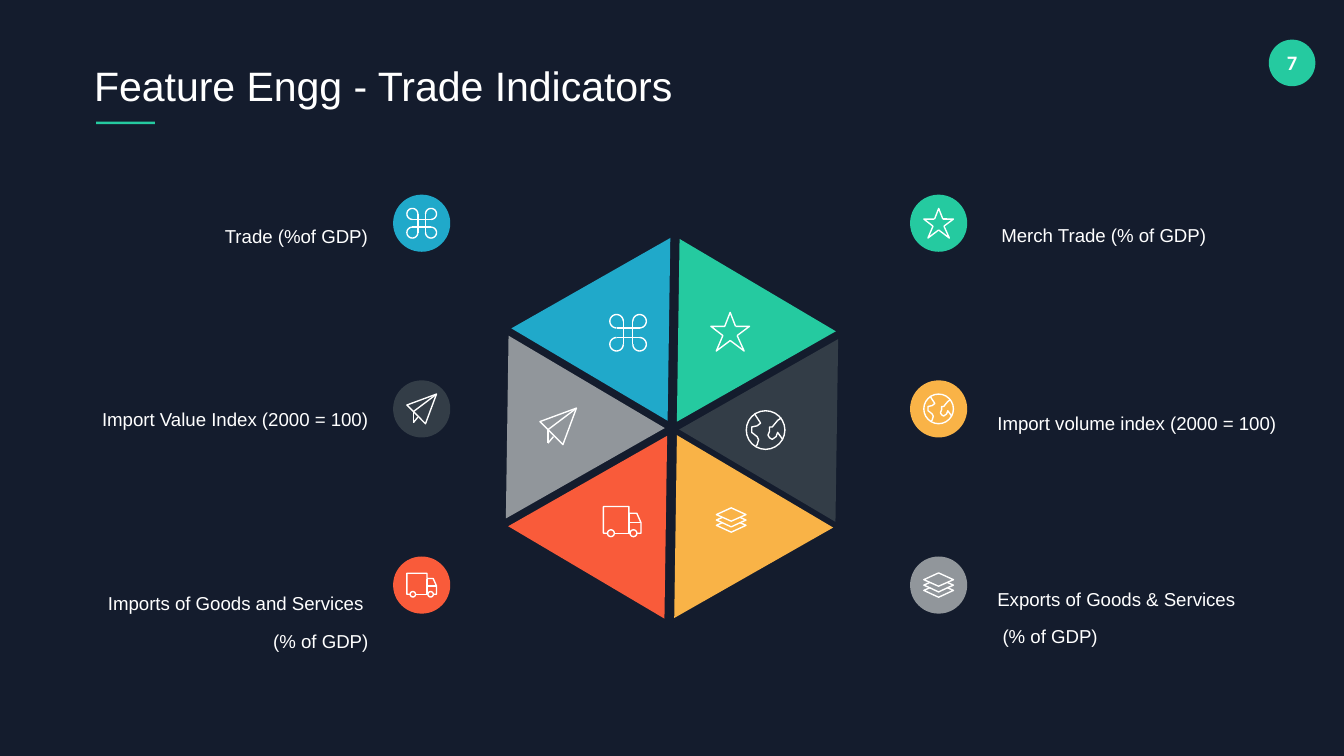
from math import cos, radians, sin

from lxml import etree
from pptx import Presentation
from pptx.dml.color import RGBColor
from pptx.enum.shapes import MSO_CONNECTOR, MSO_SHAPE
from pptx.enum.text import MSO_ANCHOR, PP_ALIGN
from pptx.oxml.ns import qn
from pptx.util import Cm, Pt

STRAIGHT = MSO_CONNECTOR.STRAIGHT
OVAL, BAR = MSO_SHAPE.OVAL, MSO_SHAPE.RECTANGLE
POINT_UP, POINT_DOWN = MSO_SHAPE.FLOWCHART_EXTRACT, MSO_SHAPE.FLOWCHART_MERGE
LEFT, CENTER, RIGHT = PP_ALIGN.LEFT, PP_ALIGN.CENTER, PP_ALIGN.RIGHT
TOP, MIDDLE = MSO_ANCHOR.TOP, MSO_ANCHOR.MIDDLE

COLORS = {
    "navy": "141C2D", "white": "FFFFFF", "green": "25CAA0", "blue": "20A9CA",
    "slate": "333D47", "red": "F95B3A", "amber": "F9B347", "gray": "91969B",
}
TITLE_FONT = {"name": "Arial", "size": Pt(22)}
LABEL_FONT = {"name": "Arial", "size": Pt(10)}
NUMBER_FONT = {"name": "Calibri", "size": Pt(11), "bold": True}
NO_INSETS = {"margin_left": 0, "margin_top": 0, "margin_right": 0, "margin_bottom": 0}

BADGE_SIZE = 1.08
BADGE_ICON_SIZE = 0.56
LEFT_BADGES, RIGHT_BADGES = 7.43, 17.2
BADGE_ROWS = (3.68, 7.19, 10.52)
SECTOR_WIDTH, SECTOR_HEIGHT = 3.43, 3.0


def arc(x, y, radius, start=0, end=360):
    """Return points along an arc, in degrees clockwise from the right."""
    step = 15 if end > start else -15
    return [(x + radius * cos(radians(a)), y + radius * sin(radians(a)))
            for a in range(start, end + step, step)]


ICONS = {
    "command": [
        arc(18.5, 18.5, 18.5, 90, 360), arc(81.5, 18.5, 18.5, 90, -180),
        arc(18.5, 81.5, 18.5, 270, 0), arc(81.5, 81.5, 18.5, -90, 180),
        [(37, 18.5), (37, 81.5)], [(63, 18.5), (63, 81.5)],
        [(18.5, 37), (81.5, 37)], [(18.5, 63), (81.5, 63)],
    ],
    "star": [
        [(36, 36), (50, 0), (64, 36)],
        [(68, 60), (86, 100), (50, 73)],
        [(64, 36), (100, 36), (68, 60)],
        [(50, 73), (14, 100), (31, 60), (0, 36), (36, 36)],
        [(77, 36), (64, 36)],
    ],
    "plane": [
        [(100, 0), (63, 100), (0, 37), (100, 0)],
        [(100, 0), (22, 59)], [(22, 59), (22, 96)], [(37, 78), (22, 96)],
    ],
    "globe": [
        arc(50, 50, 50),
        [(21, 7), (37, 32), (28, 39), (14, 42), (14, 56), (28, 67), (32, 75),
         (28, 88), (25, 91)],
        [(91, 18), (81, 25), (67, 42), (60, 42), (60, 53), (56, 63), (60, 70),
         (67, 74), (77, 67), (81, 56), (91, 70), (95, 74)],
    ],
    "truck": [
        arc(20, 71, 9), arc(80, 71, 9),
        [(11, 71), (0, 71), (0, 0), (68, 0), (68, 18), (89, 18), (100, 43),
         (100, 71), (89, 71)],
        [(29, 71), (71, 71)], [(68, 18), (68, 71)], [(100, 43), (68, 43)],
    ],
    "layers": [
        [(50, 0), (0, 23), (50, 45), (100, 23), (50, 0)],
        [(80, 50), (100, 59), (50, 82), (0, 59), (20, 50)],
        [(80, 32), (100, 41), (80, 50), (50, 64), (20, 50), (0, 41), (20, 32)],
    ],
}

SECTORS = [
    (11.84, 5.18, 210.6, POINT_UP, "green"),
    (13.36, 6.20, 210.6, POINT_DOWN, "slate"),
    (11.79, 8.89, 210.6, POINT_UP, "amber"),
    (10.13, 8.03, 30.6, POINT_UP, "red"),
    (8.61, 7.01, 30.6, POINT_DOWN, "gray"),
    (10.19, 4.29, 30.6, POINT_UP, "blue"),
]
SECTOR_ICONS = [
    ("command", 11.87, 6.29, 0.69), ("star", 13.80, 6.27, 0.73),
    ("plane", 10.55, 8.06, 0.69), ("globe", 14.47, 8.13, 0.73),
    ("truck", 11.76, 9.86, 0.71), ("layers", 13.82, 9.83, 0.56),
]
BADGES = [
    (LEFT_BADGES, ("blue", "slate", "red"), ("command", "plane", "truck")),
    (RIGHT_BADGES, ("green", "amber", "gray"), ("star", "globe", "layers")),
]
LABELS = [
    ("Trade (%of GDP)", (4.05, 3.96, 2.9, 0.69), RIGHT),
    ("Import Value Index (2000 = 100)", (1.93, 7.42, 5.1, 0.69), LEFT),
    ("Imports of Goods and Services \v(% of GDP)", (0.46, 10.9, 6.5, 1.19), RIGHT),
    ("Merch Trade (% of GDP)", (18.85, 3.94, 3.94, 0.58), RIGHT),
    ("Import volume index (2000 = 100)", (18.85, 7.49, 5.64, 0.71), LEFT),
    ("Exports of Goods & Services \v (% of GDP)", (18.85, 10.82, 5.05, 0.53), LEFT),
]


def rgb(color):
    """Look up a named colour."""
    return RGBColor.from_string(COLORS[color])


def apply_format(target, values):
    """Set each attribute of the target from a dict."""
    for name, value in values.items():
        setattr(target, name, value)


def add_solid(slide, preset, box, color, rotation=0):
    """Add a filled preset shape without outline."""
    solid = slide.shapes.add_shape(preset, *map(Cm, box))
    solid.fill.solid()
    solid.fill.fore_color.rgb = rgb(color)
    solid.line.fill.background()
    solid.shadow.inherit = False
    solid.rotation = rotation


def add_text(slide, wording, box, font, align=LEFT, anchor=TOP, spacing=None):
    """Add a white text box."""
    frame = slide.shapes.add_textbox(*map(Cm, box)).text_frame
    apply_format(frame, {**NO_INSETS, "word_wrap": True, "vertical_anchor": anchor})
    frame.text = wording
    paragraph = frame.paragraphs[0]
    apply_format(paragraph, {"alignment": align, "line_spacing": spacing})
    for run in paragraph.runs:
        apply_format(run.font, font)
        run.font.color.rgb = rgb("white")


def add_stroke(group, points):
    """Add one white icon stroke, straight or bent."""
    if len(points) == 2:
        stroke = group.shapes.add_connector(STRAIGHT, *points[0], *points[1])
        etree.SubElement(stroke.line._get_or_add_ln().getparent(), qn("a:effectLst"))
    else:
        builder = group.shapes.build_freeform(*points[0])
        builder.add_line_segments(points[1:], close=False)
        stroke = builder.convert_to_shape()
        stroke.fill.background()
        stroke.shadow.inherit = False
    stroke.line.color.rgb = rgb("white")
    stroke.line.width = Pt(0.75)


def add_icon(slide, icon, center_x, center_y, size):
    """Draw a line icon as a group around its centre."""
    strokes = ICONS[icon]
    height = max(y for stroke in strokes for _, y in stroke)
    group = slide.shapes.add_group_shape()
    for stroke in strokes:
        add_stroke(group, [(Cm(center_x + (x - 50) * size / 100),
                            Cm(center_y + (y - height / 2) * size / 100))
                           for x, y in stroke])


def main():
    """Build the trade indicators slide."""
    deck = Presentation()
    deck.slide_width, deck.slide_height = Cm(25.4), Cm(14.29)
    slide = deck.slides.add_slide(deck.slide_layouts[6])
    slide.background.fill.solid()
    slide.background.fill.fore_color.rgb = rgb("navy")

    add_solid(slide, OVAL, (23.98, 0.75, 0.88, 0.88), "green")
    add_text(slide, "7", (24, 0.86, 0.84, 0.64), NUMBER_FONT, CENTER, MIDDLE)
    add_text(slide, "Feature Engg - Trade Indicators", (1.78, 1.14, 15.7, 0.94),
             TITLE_FONT, anchor=MIDDLE)
    add_solid(slide, BAR, (1.82, 2.3, 1.11, 0.05), "green")

    for left, top, rotation, preset, color in SECTORS:
        add_solid(slide, preset, (left, top, SECTOR_WIDTH, SECTOR_HEIGHT), color, rotation)
    for sector_icon in SECTOR_ICONS:
        add_icon(slide, *sector_icon)
    for left, colors, icons in BADGES:
        for top, color, icon in zip(BADGE_ROWS, colors, icons):
            add_solid(slide, OVAL, (left, top, BADGE_SIZE, BADGE_SIZE), color)
            add_icon(slide, icon, left + BADGE_SIZE / 2, top + BADGE_SIZE / 2,
                     BADGE_ICON_SIZE)
    for wording, box, align in LABELS:
        add_text(slide, wording, box, LABEL_FONT, align, spacing=1.68)

    deck.save("out.pptx")


if __name__ == "__main__":
    main()
